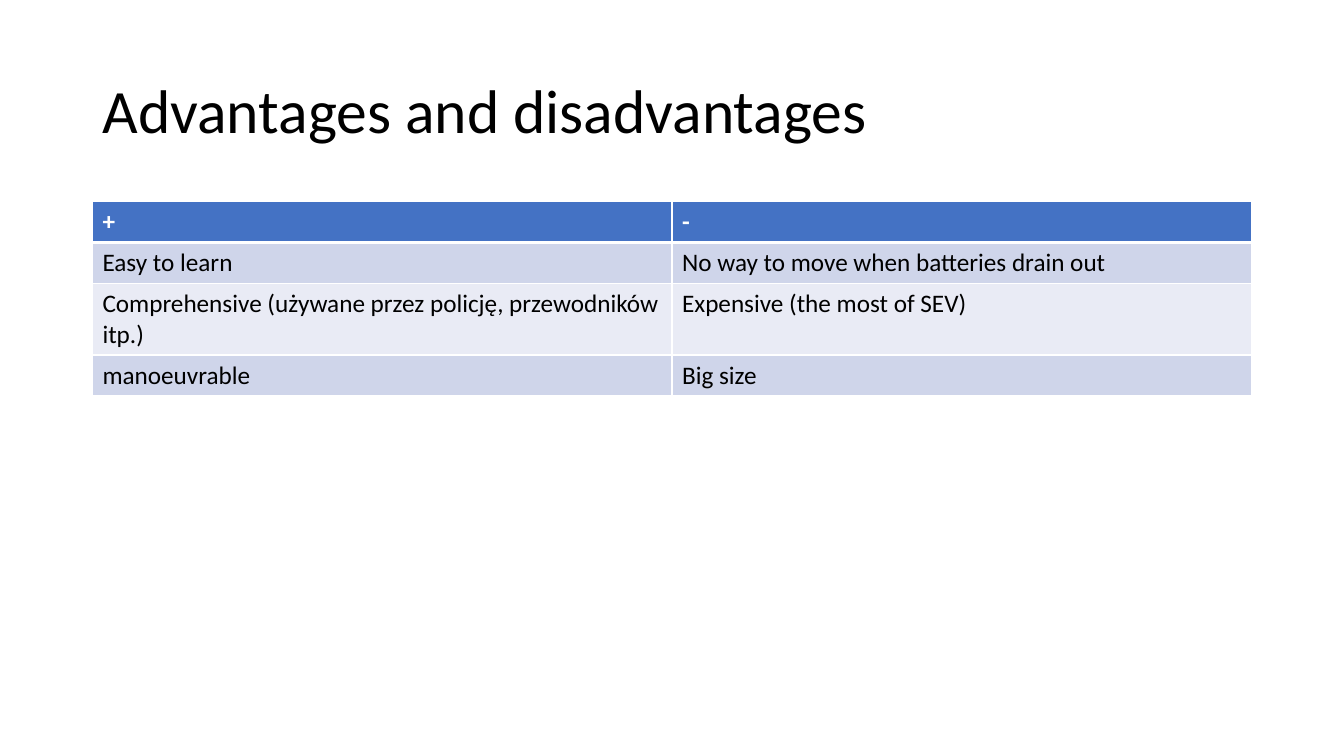
from dataclasses import dataclass

from lxml import etree
from pptx import Presentation, util as u
from pptx.dml import color
from pptx.enum import text
from pptx.oxml import ns


@dataclass(frozen=True)
class Theme:
    font: str = "Calibri"
    title: int = 44
    body: int = 18
    ink: str = "000000"
    white: str = "FFFFFF"
    head: str = "4472C4"
    bands: tuple = ("CFD5EA", "E9EBF5")


THEME = Theme()
LEFT, WIDTH = u.Cm(2.33), u.Cm(29.21)
ROW = u.Cm(1.03)
ROWS = (
    ("+", "-"),
    ("Easy to learn", "No way to move when batteries drain out"),
    ("Comprehensive (używane przez policję, przewodników itp.)",
     "Expensive (the most of SEV)"),
    ("manoeuvrable", "Big size"),
)


def add_run(para, words, size, ink, bold=False):
    run = para.add_run()
    run.text = words
    font = run.font
    font.name, font.size, font.bold = THEME.font, u.Pt(size), bold
    font.color.rgb = color.RGBColor.from_string(ink)


def set_title(slide, words):
    title = slide.shapes.title
    title.left, title.top = LEFT, u.Cm(1.01)
    title.width, title.height = WIDTH, u.Cm(3.68)
    frame = title.text_frame
    frame.word_wrap = True
    frame.vertical_anchor = text.MSO_ANCHOR.MIDDLE
    para = frame.paragraphs[0]
    para.alignment = text.PP_ALIGN.LEFT
    para.line_spacing = 0.9
    add_run(para, words, THEME.title, THEME.ink)


def add_edge(cell, side, width):
    props = cell._tc.get_or_add_tcPr()
    line = etree.SubElement(props, ns.qn(f"a:ln{side}"), w=str(u.Pt(width)))
    fill = etree.SubElement(line, ns.qn("a:solidFill"))
    etree.SubElement(fill, ns.qn("a:srgbClr"), val=THEME.white)


def fill_cell(cell, words, row):
    head = row == 0
    edges = {"L": 1, "R": 1, "T": 3 if row == 1 else 1, "B": 3 if head else 1}
    for side, width in edges.items():
        add_edge(cell, side, width)
    back = THEME.head if head else THEME.bands[(row - 1) % 2]
    cell.fill.solid()
    cell.fill.fore_color.rgb = color.RGBColor.from_string(back)
    ink = THEME.white if head else THEME.ink
    add_run(cell.text_frame.paragraphs[0], words, THEME.body, ink, head)


def add_grid(slide, rows):
    frame = slide.shapes.add_table(
        len(rows), len(rows[0]), LEFT, u.Cm(5.08), WIDTH, ROW * len(rows))
    grid = frame.table
    for row, line in enumerate(rows):
        grid.rows[row].height = ROW
        for col, words in enumerate(line):
            fill_cell(grid.cell(row, col), words, row)


def main():
    deck = Presentation()
    deck.slide_width, deck.slide_height = u.Cm(33.87), u.Cm(19.05)
    slide = deck.slides.add_slide(deck.slide_layouts.get_by_name("Title Only"))
    set_title(slide, "Advantages and disadvantages")
    add_grid(slide, ROWS)
    deck.save("out.pptx")


if __name__ == "__main__":
    main()
